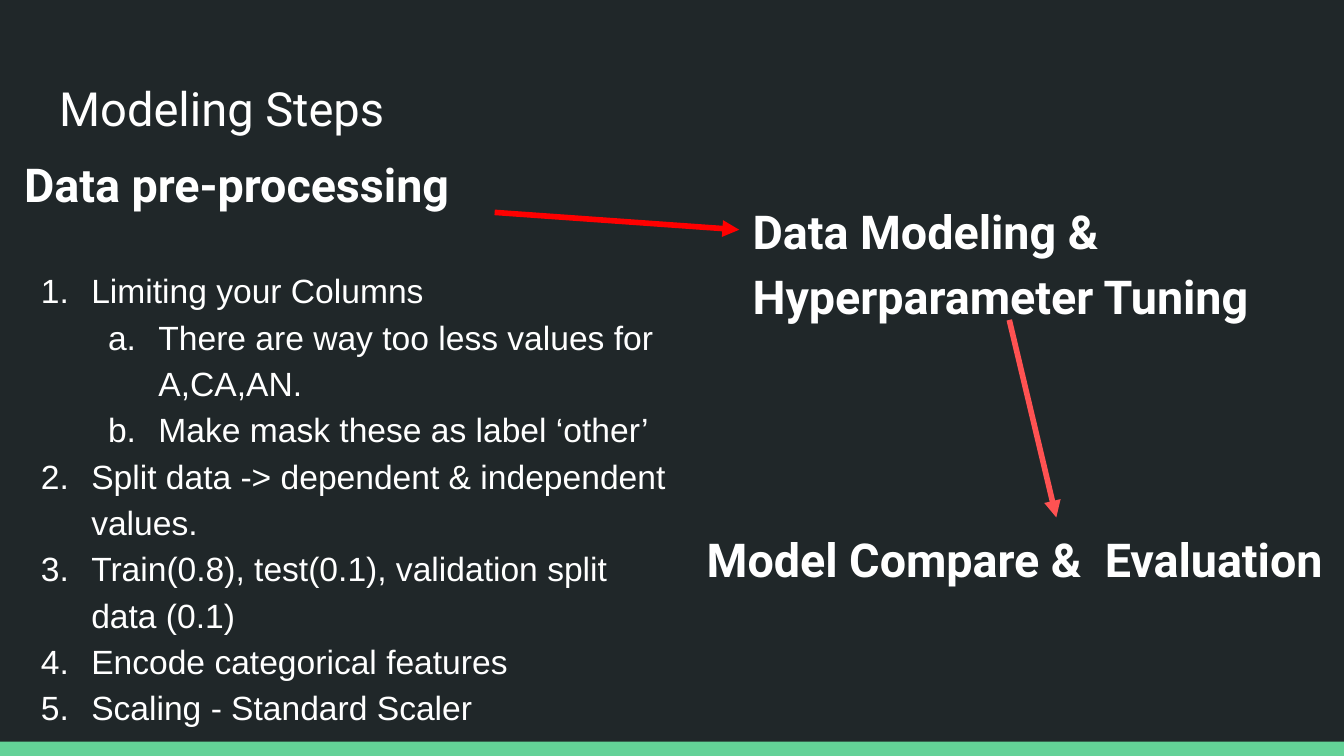
from dataclasses import dataclass

from lxml import etree
from pptx import Presentation
from pptx.dml.color import RGBColor
from pptx.enum.shapes import MSO_CONNECTOR, MSO_SHAPE
from pptx.enum.text import MSO_ANCHOR, MSO_AUTO_SIZE, PP_ALIGN
from pptx.oxml.ns import qn
from pptx.util import Pt

RECTANGLE = MSO_SHAPE.RECTANGLE
STRAIGHT = MSO_CONNECTOR.STRAIGHT
TOP = MSO_ANCHOR.TOP
NO_FIT = MSO_AUTO_SIZE.NONE
LEFT = PP_ALIGN.LEFT

WHITE, DARK, GREEN = "FFFFFF", "202729", "63D297"
NUMBERING = ("arabicPeriod", "alphaLcPeriod")  # one scheme per list level
INSET = 7.2
LEVEL_INDENT = 36
HANGING = 27


@dataclass
class Place:
    left: float
    top: float
    width: float
    height: float


@dataclass
class Step:
    text: str
    level: int = 0


@dataclass
class Arrow:
    start: tuple[float, float]
    end: tuple[float, float]
    color: str


STEPS = [
    Step("Limiting your Columns"),
    Step("There are way too less values for A,CA,AN.", 1),
    Step("Make mask these as label ‘other’", 1),
    Step("Split data -> dependent & independent values."),
    Step("Train(0.8), test(0.1), validation split data (0.1)"),
    Step("Encode categorical features"),
    Step("Scaling - Standard Scaler"),
]
ARROWS = [
    Arrow((265, 113.8), (396, 123.1), "FF0000"),
    Arrow((540.7, 171.4), (565.9, 277.2), "FF5252"),
]


def rgb(color: str) -> RGBColor:
    return RGBColor.from_string(color)


def prepare(box, place: Place):
    """Place a text shape and return its cleared frame."""
    box.left, box.top = Pt(place.left), Pt(place.top)
    box.width, box.height = Pt(place.width), Pt(place.height)
    frame = box.text_frame
    frame.word_wrap = True
    frame.auto_size = NO_FIT
    frame.vertical_anchor = TOP
    frame.margin_left = frame.margin_right = Pt(INSET)
    frame.margin_top = frame.margin_bottom = Pt(INSET)
    return frame


def write(para, text: str, size: float, font: str = "Roboto", bold: bool = False,
          spacing: float = 1.0, before: float = 0) -> None:
    para.alignment = LEFT
    para.line_spacing = spacing
    para.space_before = Pt(before)
    span = para.add_run()
    span.text = text
    span.font.name = font
    span.font.size = Pt(size)
    span.font.bold = bold
    span.font.color.rgb = rgb(WHITE)


def number(para, level: int) -> None:
    """Turn a paragraph into a numbered item with a hanging indent."""
    para.level = level
    props = para._p.get_or_add_pPr()
    props.set("marL", str(Pt(LEVEL_INDENT * (level + 1))))
    props.set("indent", str(Pt(-HANGING)))
    color = etree.SubElement(props, qn("a:buClr"))
    etree.SubElement(color, qn("a:srgbClr"), val=WHITE)
    etree.SubElement(props, qn("a:buFont"), typeface="Arial")
    etree.SubElement(props, qn("a:buAutoNum"), type=NUMBERING[level])


def remove_bullet(para) -> None:
    props = para._p.get_or_add_pPr()
    props.set("marL", "0")
    props.set("indent", "0")
    etree.SubElement(props, qn("a:buNone"))


def draw_arrow(slide, arrow: Arrow) -> None:
    points = [Pt(value) for value in (*arrow.start, *arrow.end)]
    connector = slide.shapes.add_connector(STRAIGHT, *points)
    connector.line.color.rgb = rgb(arrow.color)
    connector.line.width = Pt(3)
    etree.SubElement(connector.line._get_or_add_ln(), qn("a:tailEnd"), type="triangle")
    etree.SubElement(connector._element.spPr, qn("a:effectLst"))


def add_text_box(slide, place: Place):
    return prepare(slide.shapes.add_textbox(0, 0, 0, 0), place)


def main() -> None:
    deck = Presentation()
    deck.slide_width, deck.slide_height = Pt(720), Pt(405)
    slide = deck.slides.add_slide(deck.slide_layouts[1])

    # Background and bottom bar
    slide.background.fill.solid()
    slide.background.fill.fore_color.rgb = rgb(DARK)
    bar = slide.shapes.add_shape(RECTANGLE, 0, Pt(397.4), Pt(720), Pt(7.6))
    bar.shadow.inherit = False
    bar.fill.solid()
    bar.fill.fore_color.rgb = rgb(GREEN)
    bar.line.fill.background()

    # Title
    title = prepare(slide.shapes.title, Place(24.5, 35.3, 671, 45.4))
    write(title.paragraphs[0], "Modeling Steps", 25.2)

    # Modeling stage
    modeling = prepare(slide.placeholders[1], Place(396, 97.2, 308.2, 52.6))
    write(modeling.paragraphs[0], "Data Modeling & Hyperparameter Tuning", 25,
          bold=True, spacing=1.15)
    remove_bullet(modeling.paragraphs[0])

    # Pre-processing stage with its numbered steps
    processing = add_text_box(slide, Place(5.8, 76.3, 365.8, 320.4))
    write(processing.paragraphs[0], "Data pre-processing", 25, bold=True)
    for index, step in enumerate(STEPS):
        para = processing.add_paragraph()
        write(para, step.text, 18, font="Arial", spacing=1.15,
              before=28 if index == 0 else 0)
        number(para, step.level)

    # Arrows between the stages
    for arrow in ARROWS:
        draw_arrow(slide, arrow)

    # Evaluation stage
    evaluation = add_text_box(slide, Place(371.5, 277.2, 389.5, 74.9))
    write(evaluation.paragraphs[0], "Model Compare &  Evaluation", 25, bold=True)

    deck.save("out.pptx")


if __name__ == "__main__":
    main()
